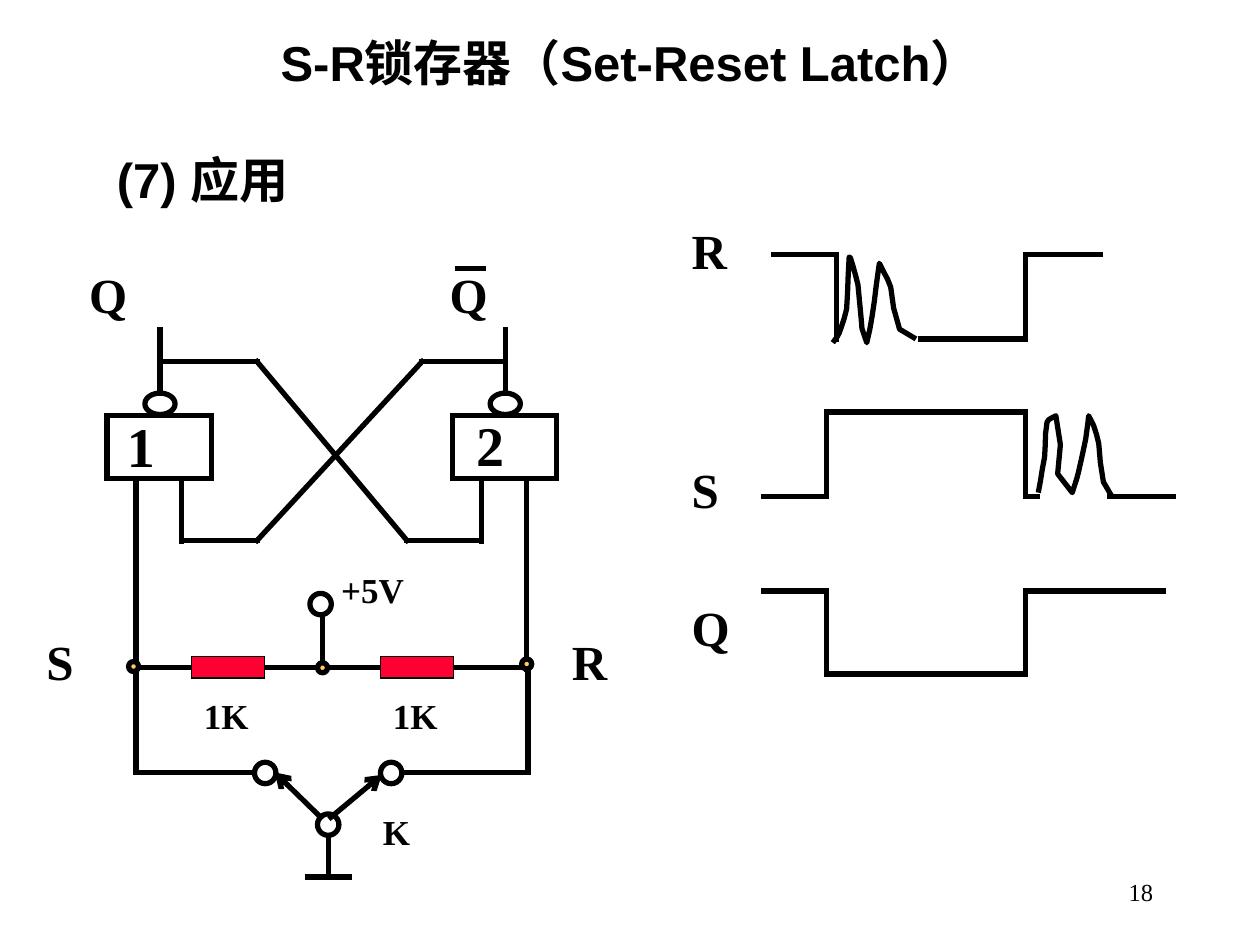
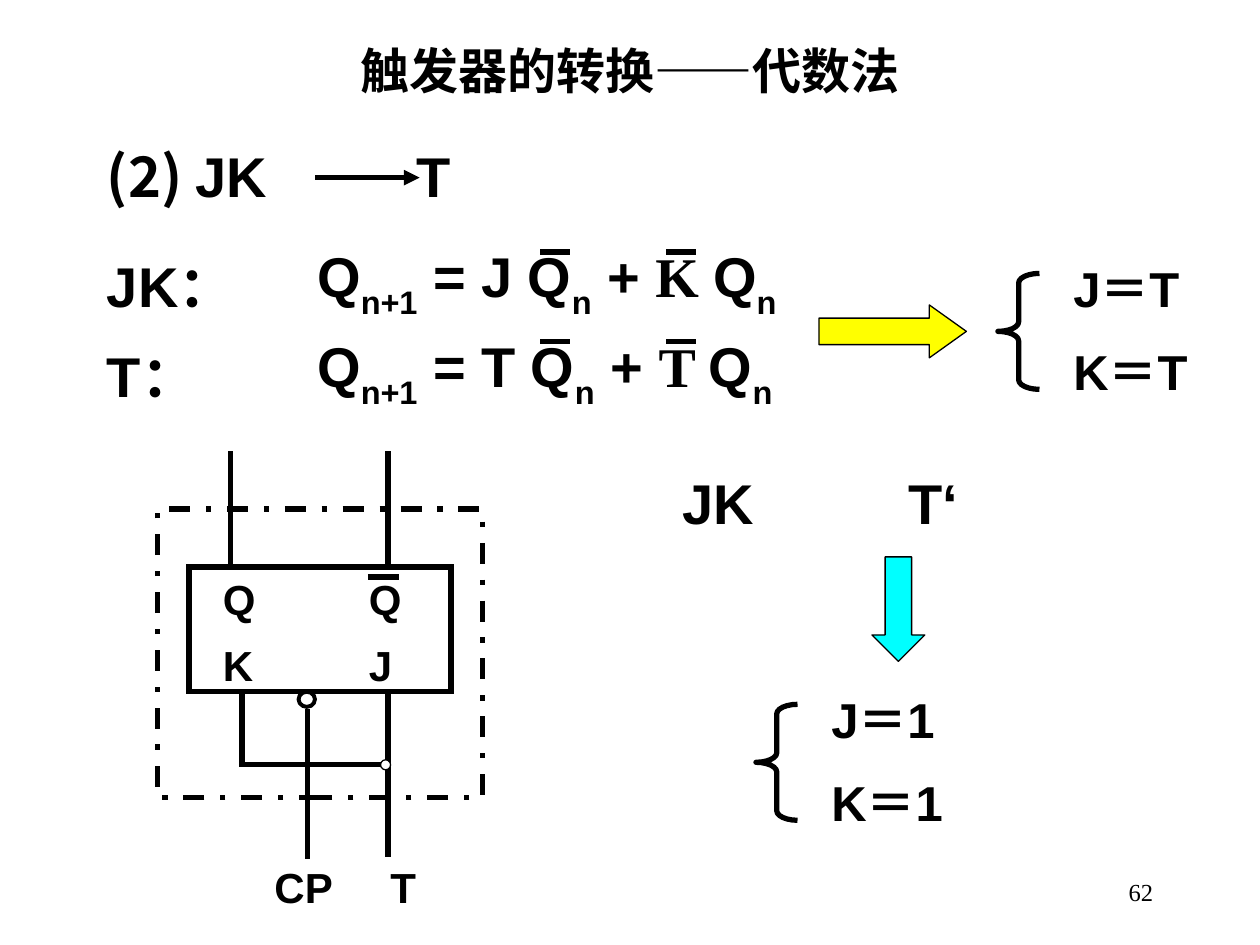
from dataclasses import dataclass
from itertools import pairwise
from typing import Any, NamedTuple, Optional

from lxml import etree
from pptx import Presentation
from pptx.dml.color import RGBColor
from pptx.enum.dml import MSO_LINE
from pptx.enum.shapes import MSO_CONNECTOR, MSO_SHAPE
from pptx.enum.text import MSO_ANCHOR, MSO_AUTO_SIZE, PP_ALIGN
from pptx.oxml.ns import qn
from pptx.util import Inches, Pt

RECT, OVAL, BRACE = MSO_SHAPE.RECTANGLE, MSO_SHAPE.OVAL, MSO_SHAPE.LEFT_BRACE
RIGHT_ARROW, DOWN_ARROW = MSO_SHAPE.RIGHT_ARROW, MSO_SHAPE.DOWN_ARROW
STRAIGHT, DASH_DOT = MSO_CONNECTOR.STRAIGHT, MSO_LINE.DASH_DOT
TOP, MIDDLE, NO_FIT = MSO_ANCHOR.TOP, MSO_ANCHOR.MIDDLE, MSO_AUTO_SIZE.NONE
LEFT, CENTER, RIGHT = PP_ALIGN.LEFT, PP_ALIGN.CENTER, PP_ALIGN.RIGHT

Point = tuple[float, float]


@dataclass(frozen=True)
class Theme:
    ink: str = "000000"
    white: str = "FFFFFF"
    resistor: str = "FF0033"
    node: str = "FFCC66"
    yellow: str = "FFFF00"
    cyan: str = "00FFFF"
    sans: str = "Arial"
    serif: str = "Times New Roman"
    cjk: str = "Noto Sans CJK SC"
    number: float = 14
    small: float = 20
    pin: float = 24
    body: float = 28
    large: float = 32
    wire: float = 3
    thin: float = 0.75


T = Theme()


class Run(NamedTuple):
    text: str
    font: str = T.sans
    sub: bool = False


@dataclass(frozen=True)
class Label:
    text: Any
    x: float
    y: float
    w: float
    size: float = T.body
    font: str = T.serif
    tab: float = 0


@dataclass(frozen=True)
class Figure:
    kind: Any
    x: float
    y: float
    w: float
    h: float
    fill: Optional[str] = None
    weight: float = T.wire
    adj: tuple[float, ...] = ()
    dash: Any = None


def set_all(obj: Any, values: dict[str, Any]) -> None:
    for name, value in values.items():
        setattr(obj, name, value)


def write(tf: Any, lines: list[list[Run]], size: float, bold: bool = True,
          align: Any = LEFT, anchor: Any = TOP, tab: float = 0) -> None:
    set_all(tf, {"word_wrap": True, "auto_size": NO_FIT, "vertical_anchor": anchor,
                 "margin_left": Inches(0.1), "margin_right": Inches(0.1),
                 "margin_top": Inches(0.05), "margin_bottom": Inches(0.05)})
    for i, runs in enumerate(lines):
        p = tf.add_paragraph() if i else tf.paragraphs[0]
        p.alignment = align
        if i:
            p.space_before = Pt(size / 2)
        if tab:
            stops = etree.SubElement(p._p.get_or_add_pPr(), qn("a:tabLst"))
            etree.SubElement(stops, qn("a:tab"), pos=str(Inches(tab)), algn="l")
        for run in runs:
            r = p.add_run()
            r.text = run.text
            set_all(r.font, {"name": run.font, "size": Pt(size), "bold": bold})
            r.font.color.rgb = RGBColor.from_string(T.ink)
            if run.sub:
                r._r.get_or_add_rPr().set("baseline", "-30000")


def label(s: Any, item: Label) -> None:
    if isinstance(item.text, str):
        lines = [[Run(line, item.font)] for line in item.text.split("\n")]
    else:
        lines = [list(item.text)]
    height = 0.1 + len(lines) * item.size / 60
    sp = s.shapes.add_textbox(*map(Inches, (item.x, item.y, item.w, height)))
    write(sp.text_frame, lines, item.size, tab=item.tab)


def stroke(sp: Any, weight: float) -> None:
    sp.line.color.rgb = RGBColor.from_string(T.ink)
    sp.line.width = Pt(weight)


def figure(s: Any, f: Figure) -> None:
    sp = s.shapes.add_shape(f.kind, *map(Inches, (f.x, f.y, f.w, f.h)))
    sp.shadow.inherit = False
    stroke(sp, f.weight)
    if f.fill:
        sp.fill.solid()
        sp.fill.fore_color.rgb = RGBColor.from_string(f.fill)
    else:
        sp.fill.background()
    if f.dash:
        sp.line.dash_style = f.dash
    if f.kind == RECT:
        etree.SubElement(sp.line._get_or_add_ln(), qn("a:miter"), lim="800000")
    for i, value in enumerate(f.adj):
        sp.adjustments[i] = value


def wire(s: Any, *points: Point, head: str = "", cap: str = "sq") -> None:
    for start, end in pairwise(points):
        sp = s.shapes.add_connector(STRAIGHT, *map(Inches, (*start, *end)))
        stroke(sp, T.wire)
        ln = sp.line._get_or_add_ln()
        if head:
            etree.SubElement(ln, qn("a:tailEnd"), type=head)
        else:
            ln.set("cap", cap)
        etree.SubElement(sp._element.spPr, qn("a:effectLst"))


def bounce(s: Any, start: Point, curves: list[tuple[float, ...]], steps: int = 3) -> None:
    points = [start]
    for x1, y1, x2, y2, x3, y3 in curves:
        x0, y0 = points[-1]
        for i in range(1, steps + 1):
            t = i / steps
            a, b, c, d = (1 - t) ** 3, 3 * t * (1 - t) ** 2, 3 * t * t * (1 - t), t ** 3
            points.append((a * x0 + b * x1 + c * x2 + d * x3,
                           a * y0 + b * y1 + c * y2 + d * y3))
    emu = [(Inches(x), Inches(y)) for x, y in points]
    fb = s.shapes.build_freeform(*emu[0])
    fb.add_line_segments(emu[1:], close=False)
    sp = fb.convert_to_shape()
    sp.shadow.inherit = False
    sp.fill.background()
    stroke(sp, T.wire)


def new_slide(prs: Any, title: str, top: float, number: int) -> Any:
    s = prs.slides.add_slide(prs.slide_layouts[5])
    sp = s.shapes.title
    set_all(sp, {"left": 0, "top": Inches(top), "width": prs.slide_width,
                 "height": Inches(0.57)})
    write(sp.text_frame, [[Run(title)]], T.body, align=CENTER)
    sp = s.shapes.add_textbox(*map(Inches, (7.17, 6.83, 2.08, 0.5)))
    write(sp.text_frame, [[Run(str(number), T.serif)]], T.number, False, RIGHT, MIDDLE)
    return s


def latch_circuit(s: Any) -> None:
    for dx in (0, 2.74):
        figure(s, Figure(RECT, 0.85 + dx, 3.3, 0.83, 0.5))
        figure(s, Figure(OVAL, 1.15 + dx, 3.12, 0.24, 0.17))
        wire(s, (1.27 + dx, 3.12), (1.27 + dx, 2.62))
    wires = [
        ((1.27, 2.87), (2.04, 2.87), (3.23, 4.29), (3.82, 4.29)), ((3.82, 4.3), (3.82, 3.8)),
        ((4.01, 2.87), (3.35, 2.87), (2.04, 4.29), (1.44, 4.29)), ((1.44, 4.3), (1.44, 3.8)),
        ((1.08, 4.3), (1.08, 3.8)), ((1.08, 4.04), (1.08, 4.62)), ((1.08, 5.3), (1.08, 4.46)),
        ((1.08, 5.3), (1.08, 6.13)), ((2.01, 6.13), (1.11, 6.13)),
        ((4.18, 4.3), (4.18, 3.8)), ((4.18, 4.12), (4.18, 4.54)), ((4.18, 4.48), (4.18, 5.31)),
        ((4.19, 5.3), (4.19, 6.13)), ((3.19, 6.13), (4.19, 6.13)),
        ((1.52, 5.3), (1.11, 5.3)), ((2.11, 5.3), (3.02, 5.3)), ((3.61, 5.3), (4.15, 5.3)),
        ((2.56, 5.3), (2.56, 4.88)),
        ((2.61, 6.63), (2.61, 6.96)), ((2.44, 6.96), (2.77, 6.96)),
    ]
    for points in wires:
        wire(s, *points)
    wire(s, (3.61, 2.13), (3.86, 2.13), cap="flat")
    for x in (1.52, 3.02):
        figure(s, Figure(RECT, x, 5.21, 0.58, 0.17, T.resistor, 1))
        label(s, Label("1K", x, 5.46, 0.92, T.small))
    for x, y in ((2.52, 6.46), (3.02, 6.05), (2.02, 6.05), (2.46, 4.71)):
        figure(s, Figure(OVAL, x, y, 0.17, 0.17))
    for x, y in ((1.02, 5.25), (2.52, 5.26), (4.14, 5.23)):
        figure(s, Figure(OVAL, x, y, 0.08, 0.08, T.node))
    wire(s, (2.61, 6.5), (3.03, 6.15), head="arrow")
    wire(s, (2.56, 6.5), (2.18, 6.13), head="arrow")
    for item in (
        Label("Q", 0.61, 2.05, 0.95), Label("Q", 3.47, 2.05, 0.83),
        Label("S", 0.27, 4.96, 1.31), Label("R", 4.44, 4.96, 0.95),
        Label("1", 0.91, 3.22, 0.83, T.large), Label("2", 3.68, 3.21, 0.83, T.large),
        Label("+5V", 2.61, 4.46, 1, T.small), Label("K", 2.94, 6.38, 0.5, T.small),
    ):
        label(s, item)


def waveforms(s: Any) -> None:
    for name, y, w in (("R", 1.7, 0.75), ("S", 3.6, 0.83), ("Q", 4.69, 0.5)):
        label(s, Label(name, 5.39, y, w))
    fall, rise = 6.56, 8.14
    for points in (
        ((6.14, 2.02), (6.64, 2.02), (6.64, 2.69)),
        ((7.31, 2.69), (rise, 2.69), (rise, 2.02), (8.73, 2.02)),
        ((6.06, 3.94), (fall, 3.94), (fall, 3.27), (7.89, 3.27)),
        ((7.64, 3.27), (rise, 3.27), (rise, 3.94), (8.23, 3.94)),
        ((8.81, 3.94), (9.31, 3.94)),
        ((6.06, 4.69), (fall, 4.69), (fall, 5.35), (7.89, 5.35)),
        ((7.64, 5.35), (rise, 5.35), (rise, 4.69), (9.23, 4.69)),
        ((8.06, 5.35), (rise, 5.35)),
    ):
        wire(s, *points)
    bounce(s, (6.61, 2.72), [
        (6.67, 2.64, 6.65, 2.67, 6.68, 2.59), (6.7, 2.54, 6.72, 2.45, 6.72, 2.45),
        (6.73, 2.32, 6.73, 2.18, 6.74, 2.04), (6.75, 2.02, 6.76, 2.09, 6.77, 2.11),
        (6.79, 2.18, 6.79, 2.18, 6.81, 2.26), (6.86, 2.67, 6.81, 2.53, 6.88, 2.72),
        (6.91, 2.6, 6.92, 2.53, 6.94, 2.39), (6.95, 2.29, 6.98, 2.09, 6.98, 2.09),
        (7.01, 2.16, 7.05, 2.21, 7.07, 2.28), (7.1, 2.41, 7.08, 2.69, 7.27, 2.69)])
    bounce(s, (8.24, 3.91), [
        (8.26, 3.82, 8.27, 3.72, 8.29, 3.63), (8.3, 3.54, 8.29, 3.44, 8.31, 3.35),
        (8.32, 3.32, 8.35, 3.32, 8.38, 3.3), (8.51, 3.5, 8.26, 3.83, 8.51, 3.91),
        (8.57, 3.72, 8.54, 3.83, 8.59, 3.61), (8.62, 3.51, 8.64, 3.3, 8.64, 3.3),
        (8.69, 3.38, 8.7, 3.44, 8.72, 3.52), (8.74, 3.66, 8.72, 3.85, 8.83, 3.95)])


def equations(s: Any) -> None:
    label(s, Label((Run("(2) ", T.cjk), Run("JK\tT")), 0.75, 1.07, 3.58, T.large, tab=2.46))
    wire(s, (2.5, 1.41), (3.33, 1.41), head="triangle")
    for name, first, second, y in (("JK", "J", "K", 1.87), ("T", "T", "T", 2.58)):
        runs = (Run("Q"), Run("n+1", sub=True), Run(f" = {first} Q"), Run("n", sub=True),
                Run(" + "), Run(f"{second} ", T.serif), Run("Q"), Run("n", sub=True))
        label(s, Label(runs, 2.42, y, 4.17, T.large))
        label(s, Label(f"{name}：", 0.75, y + 0.08, 1.42, T.large, T.sans))
        for x in (4.31, 5.31):
            wire(s, (x, y + 0.13), (x + 0.19, y + 0.13))
    for value, x, y in (("T", 7.92, 2), ("1", 6, 5.42)):
        figure(s, Figure(BRACE, x, y + 0.17, 0.33, 0.92, adj=(0.23, 0.5)))
        label(s, Label(f"J＝{value}\nK＝{value}", x + 0.5, y, 1.33, T.body, T.sans))
    figure(s, Figure(RIGHT_ARROW, 6.5, 2.42, 1.17, 0.42, T.yellow, T.thin, (0.5, 0.7)))
    label(s, Label("JK\tT‘", 5.32, 3.67, 3.18, T.large, T.sans, 1.79))
    figure(s, Figure(DOWN_ARROW, 6.92, 4.42, 0.42, 0.83, T.cyan, T.thin, (0.5, 0.5)))


def flip_flop(s: Any) -> None:
    figure(s, Figure(RECT, 1.5, 4.5, 2.08, 0.99))
    figure(s, Figure(OVAL, 2.37, 5.49, 0.13, 0.12, weight=2.25))
    for points in (
        ((1.83, 4.5), (1.83, 3.58)), ((3.08, 4.5), (3.08, 3.58)),
        ((2.92, 4.58), (3.17, 4.58)), ((3.08, 5.49), (3.08, 6.8)),
        ((2.44, 5.63), (2.44, 6.82)), ((1.92, 5.49), (1.92, 6.06)),
        ((1.9, 6.07), (3.06, 6.07)),
    ):
        wire(s, *points, cap="flat")
    figure(s, Figure(OVAL, 3.02, 6.03, 0.08, 0.08, T.white, T.thin))
    figure(s, Figure(RECT, 1.25, 4.04, 2.58, 2.29, dash=DASH_DOT))
    for text, x, y in (("Q", 1.67, 4.5), ("Q", 2.83, 4.5), ("K", 1.67, 5.03), ("J", 2.83, 5.03)):
        label(s, Label(text, x, y, 0.58, T.pin, T.sans))
    label(s, Label("CP\tT", 2.08, 6.79, 1.42, T.pin, T.sans, 0.92))


def main() -> None:
    prs = Presentation()
    prs.slide_width, prs.slide_height = Inches(10), Inches(7.5)
    s = new_slide(prs, "S-R锁存器（Set-Reset Latch）", 0.21, 18)
    label(s, Label("(7) 应用", 0.83, 1.14, 3.39, T.body, T.sans))
    latch_circuit(s)
    waveforms(s)
    s = new_slide(prs, "触发器的转换——代数法", 0.27, 62)
    equations(s)
    flip_flop(s)
    prs.save("out.pptx")


if __name__ == "__main__":
    main()
